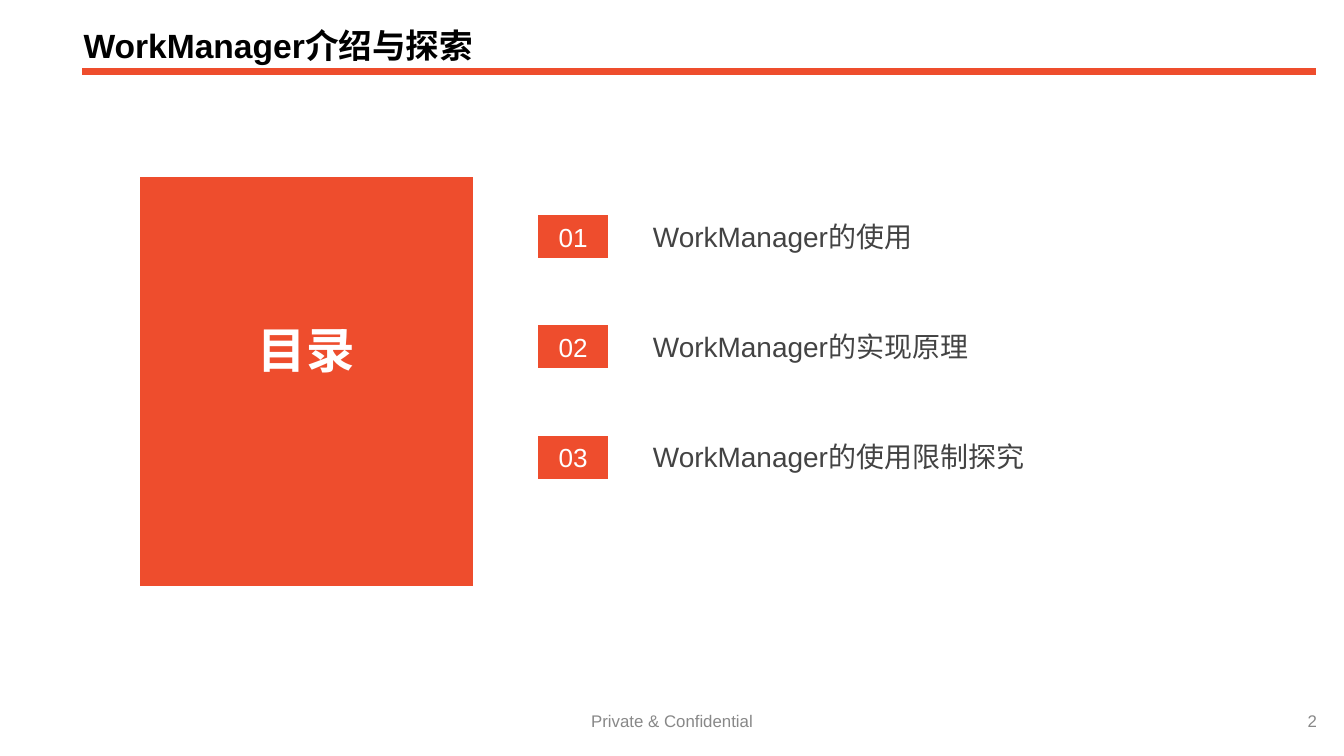
from dataclasses import dataclass

from lxml.etree import SubElement
from pptx import Presentation
from pptx.dml.color import RGBColor
from pptx.enum.lang import MSO_LANGUAGE_ID
from pptx.enum.shapes import MSO_CONNECTOR, MSO_SHAPE
from pptx.enum.text import MSO_ANCHOR, MSO_AUTO_SIZE, PP_ALIGN
from pptx.oxml.ns import qn
from pptx.shapes.autoshape import Shape
from pptx.slide import Slide
from pptx.util import Cm, Pt


@dataclass(frozen=True)
class Theme:
    """Colours, type sizes in points and the font of the slide."""

    accent: str = "EE4D2D"
    white: str = "FFFFFF"
    black: str = "000000"
    body: str = "434343"
    muted: str = "888888"
    font: str = "Arial"
    title_size: int = 18
    heading_size: int = 26
    number_size: int = 14
    item_size: int = 15
    footer_size: int = 9


@dataclass(frozen=True)
class Area:
    """A rectangle measured in centimetres."""

    left: float
    top: float
    width: float
    height: float

    def lengths(self) -> tuple[Cm, Cm, Cm, Cm]:
        """Return the position and size as lengths."""
        return Cm(self.left), Cm(self.top), Cm(self.width), Cm(self.height)


@dataclass(frozen=True)
class AgendaItem:
    """One numbered entry of the contents and the width of its label."""

    text: str
    width: float


THEME = Theme()
AGENDA = (
    AgendaItem("WorkManager的使用", 5.66),
    AgendaItem("WorkManager的实现原理", 7.21),
    AgendaItem("WorkManager的使用限制探究", 9.12),
)
AGENDA_TOP = 4.06
AGENDA_PITCH = 2.08


def write_text(
    box: Shape,
    text: str,
    *,
    size: int,
    color: str,
    bold: bool = False,
    align: PP_ALIGN = PP_ALIGN.LEFT,
    anchor: MSO_ANCHOR = MSO_ANCHOR.TOP,
    inset: float = 0.25,
    line_spacing: float = 1.0,
) -> None:
    """Fill a shape with one formatted paragraph."""
    frame = box.text_frame
    frame.word_wrap = True
    frame.auto_size = MSO_AUTO_SIZE.NONE
    frame.vertical_anchor = anchor
    frame.margin_left = frame.margin_right = Cm(inset)
    frame.margin_top = frame.margin_bottom = Cm(inset)
    para = frame.paragraphs[0]
    para.alignment = align
    para.line_spacing = line_spacing
    span = para.add_run()
    span.text = text
    span.font.size = Pt(size)
    span.font.bold = bold
    span.font.color.rgb = RGBColor.from_string(color)
    span.font.name = THEME.font
    span.font.language_id = MSO_LANGUAGE_ID.SIMPLIFIED_CHINESE
    SubElement(span.font._element, qn("a:ea"), typeface=THEME.font)


def add_text(page: Slide, area: Area, text: str, **style) -> None:
    """Add a text box holding one formatted paragraph."""
    write_text(page.shapes.add_textbox(*area.lengths()), text, **style)


def add_block(page: Slide, area: Area) -> Shape:
    """Add an accent rectangle with a thin white outline."""
    block = page.shapes.add_shape(MSO_SHAPE.RECTANGLE, *area.lengths())
    block.shadow.inherit = False
    block.fill.solid()
    block.fill.fore_color.rgb = RGBColor.from_string(THEME.accent)
    block.line.color.rgb = RGBColor.from_string(THEME.white)
    block.line.width = Pt(0.75)
    return block


def add_title(page: Slide, text: str) -> None:
    """Place the title and the rule beneath it."""
    title = page.shapes.title
    title.left, title.top, title.width, title.height = Area(1.42, 0.18, 22.38, 1.22).lengths()
    write_text(title, text, size=THEME.title_size, color=THEME.black, bold=True,
               anchor=MSO_ANCHOR.BOTTOM, inset=0.16, line_spacing=0.9)
    rule = page.shapes.add_connector(
        MSO_CONNECTOR.STRAIGHT, Cm(1.55), Cm(1.35), Cm(24.87), Cm(1.35))
    rule.line.color.rgb = RGBColor.from_string(THEME.accent)
    rule.line.width = Pt(4)
    SubElement(rule._element.spPr, qn("a:effectLst"))


def add_agenda_item(page: Slide, index: int, item: AgendaItem) -> None:
    """Draw one number badge with its label."""
    top = AGENDA_TOP + index * AGENDA_PITCH
    badge = add_block(page, Area(10.16, top, 1.35, 0.84))
    write_text(badge, f"{index + 1:02}", size=THEME.number_size, color=THEME.white,
               align=PP_ALIGN.CENTER, anchor=MSO_ANCHOR.MIDDLE)
    add_text(page, Area(12.09, top - 0.16, item.width, 1.14), item.text,
             size=THEME.item_size, color=THEME.body)


def add_footer(page: Slide, area: Area, text: str, align: PP_ALIGN) -> None:
    """Add one small text at the foot of the slide."""
    add_text(page, area, text, size=THEME.footer_size, color=THEME.muted,
             align=align, anchor=MSO_ANCHOR.MIDDLE, inset=0.1)


def main() -> None:
    """Build the contents slide and save it."""
    deck = Presentation()
    deck.slide_width, deck.slide_height = Cm(25.4), Cm(14.29)
    page = deck.slides.add_slide(deck.slide_layouts.get_by_name("Title Only"))
    add_title(page, "WorkManager介绍与探索")
    add_block(page, Area(2.64, 3.33, 6.32, 7.77))
    add_text(page, Area(4.62, 5.79, 2.62, 2.82), "目录",
             size=THEME.heading_size, color=THEME.white, bold=True)
    for index, item in enumerate(AGENDA):
        add_agenda_item(page, index, item)
    add_footer(page, Area(8.51, 13.34, 8.38, 0.58), "Private & Confidential", PP_ALIGN.CENTER)
    add_footer(page, Area(24.23, 13.34, 0.76, 0.58), "2", PP_ALIGN.RIGHT)
    deck.save("out.pptx")


if __name__ == "__main__":
    main()
